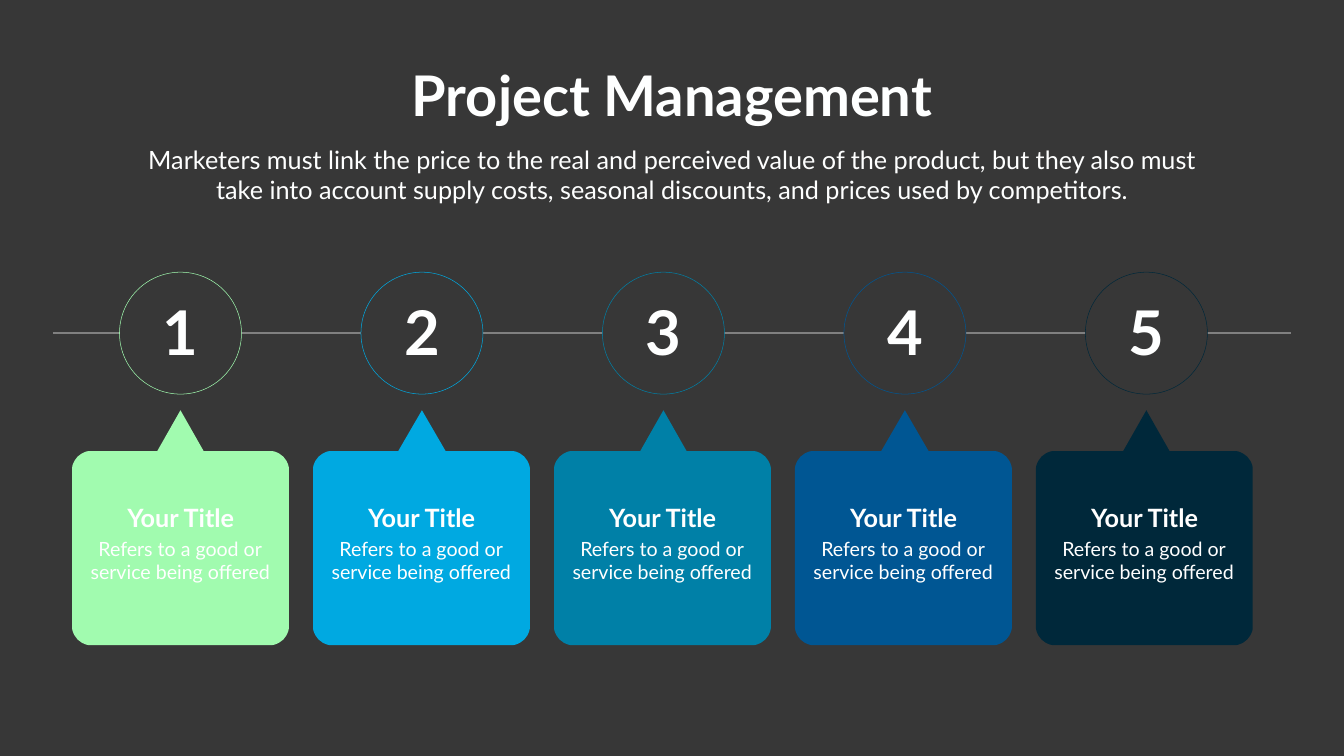
from math import cos, pi, sin

from lxml.etree import SubElement
from pptx import Presentation
from pptx.dml.color import RGBColor
from pptx.enum.shapes import MSO_CONNECTOR, MSO_SHAPE
from pptx.enum.text import MSO_ANCHOR, MSO_AUTO_SIZE, PP_ALIGN
from pptx.oxml.ns import qn
from pptx.util import Pt

PX = 9144
DARK = RGBColor(0x37, 0x37, 0x37)
GRAY = RGBColor(0x80, 0x80, 0x80)
OFF_WHITE = RGBColor(0xFE, 0xFF, 0xFF)
WHITE = RGBColor(0xFF, 0xFF, 0xFF)
GREEN = RGBColor(0xA1, 0xFB, 0xAF)
SKY = RGBColor(0x00, 0xA9, 0xE1)
TEAL = RGBColor(0x00, 0x80, 0xA7)
BLUE = RGBColor(0x00, 0x56, 0x93)
NAVY = RGBColor(0x00, 0x28, 0x3A)

STEP_COLORS = [GREEN, SKY, TEAL, BLUE, NAVY]
CIRCLE_STEP = 479
CARD_STEP = 478


class Deck:
    font = "Lato"

    def __init__(self, width, height):
        self.prs = Presentation()
        self.prs.slide_width = width * PX
        self.prs.slide_height = height * PX
        self.s = None

    def slide(self, layout, color):
        self.s = self.prs.slides.add_slide(self.prs.slide_layouts[layout])
        fill = self.s.background.fill
        fill.solid()
        fill.fore_color.rgb = color

    def add_runs(self, sp, lines, size, color, bold=False, wrap=True):
        tf = sp.text_frame
        tf.word_wrap = wrap
        tf.auto_size = MSO_AUTO_SIZE.SHAPE_TO_FIT_TEXT
        tf.vertical_anchor = MSO_ANCHOR.TOP
        for i, line in enumerate(lines):
            p = tf.add_paragraph() if i else tf.paragraphs[0]
            p.alignment = PP_ALIGN.CENTER
            p.space_before = Pt(0)
            r = p.add_run()
            r.text = line
            r.font.name = self.font
            r.font.size = Pt(size)
            r.font.bold = bold
            r.font.color.rgb = color

    def placeholder(self, index, x, y, w, h, text, size, bold=False, wrap=True):
        sp = self.s.placeholders[index]
        sp.left, sp.top, sp.width, sp.height = x * PX, y * PX, w * PX, h * PX
        self.add_runs(sp, [text], size, OFF_WHITE, bold, wrap)

    def text(self, x, y, w, h, lines, size, color, bold=False, wrap=True):
        sp = self.s.shapes.add_textbox(x * PX, y * PX, w * PX, h * PX)
        self.add_runs(sp, lines, size, color, bold, wrap)

    def line(self, x1, y1, x2, y2, color, width):
        c = self.s.shapes.add_connector(
            MSO_CONNECTOR.STRAIGHT, x1 * PX, y1 * PX, x2 * PX, y2 * PX)
        c.line.color.rgb = color
        c.line.width = Pt(width)
        SubElement(c._element.spPr, qn("a:effectLst"))

    def circle(self, x, y, size, color):
        sp = self.s.shapes.add_shape(
            MSO_SHAPE.OVAL, x * PX, y * PX, size * PX, size * PX)
        sp.shadow.inherit = False
        sp.fill.solid()
        sp.fill.fore_color.rgb = DARK
        sp.line.color.rgb = color
        sp.line.width = Pt(0.75)

    def callout(self, x, y, w, h, tip_x, color, tip_w=93, tip_h=81, radius=38):
        right, bottom = x + w, y + h
        corners = [(right - radius, y + radius, -pi / 2),
                   (right - radius, bottom - radius, 0),
                   (x + radius, bottom - radius, pi / 2),
                   (x + radius, y + radius, pi)]
        points = [(cx + radius * cos(start + k * pi / 24),
                   cy + radius * sin(start + k * pi / 24))
                  for cx, cy, start in corners for k in range(13)]
        points += [(tip_x - tip_w / 2, y), (tip_x, y - tip_h),
                   (tip_x + tip_w / 2, y)]
        fb = self.s.shapes.build_freeform(*points[0], scale=PX)
        fb.add_line_segments(points[1:], close=True)
        sp = fb.convert_to_shape()
        sp.shadow.inherit = False
        sp.fill.solid()
        sp.fill.fore_color.rgb = color
        sp.line.fill.background()


def main():
    deck = Deck(2666, 1500)
    deck.slide(0, DARK)
    deck.placeholder(0, 795, 115, 1076, 145, "Project Management", 80,
                     bold=True, wrap=False)
    deck.placeholder(
        1, 268, 281, 2130, 131,
        "Marketers must link the price to the real and perceived value of the "
        "product, but they also must take into account supply costs, seasonal "
        "discounts, and prices used by competitors.", 36)
    deck.line(105, 660, 2561, 660, GRAY, 2.81)
    for i, color in enumerate(STEP_COLORS):
        circle_x = 237 + i * CIRCLE_STEP
        card_x = 143 + i * CARD_STEP
        deck.circle(circle_x, 540, 242, color)
        deck.text(circle_x + 75, 579, 92, 158, [str(i + 1)], 88, OFF_WHITE,
                  bold=True, wrap=False)
        deck.callout(card_x, 895, 430, 385, circle_x + 121, color)
        deck.text(card_x + 85, 991, 261, 71, ["Your Title"], 36, WHITE,
                  bold=True)
        deck.text(card_x + 16, 1060, 397, 104,
                  ["Refers to a good or", "service being offered"], 28, WHITE)
    deck.prs.save("out.pptx")


if __name__ == "__main__":
    main()
